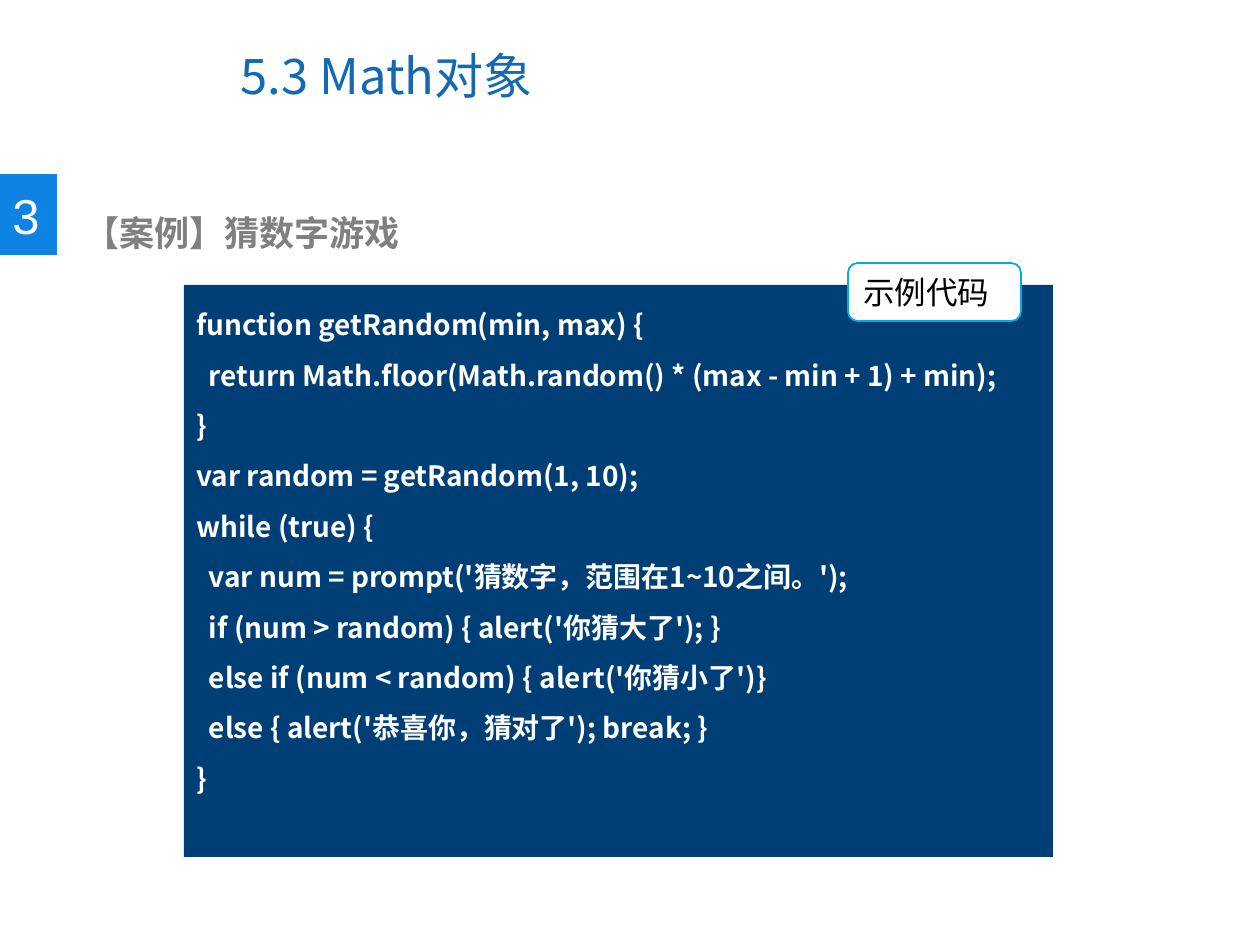
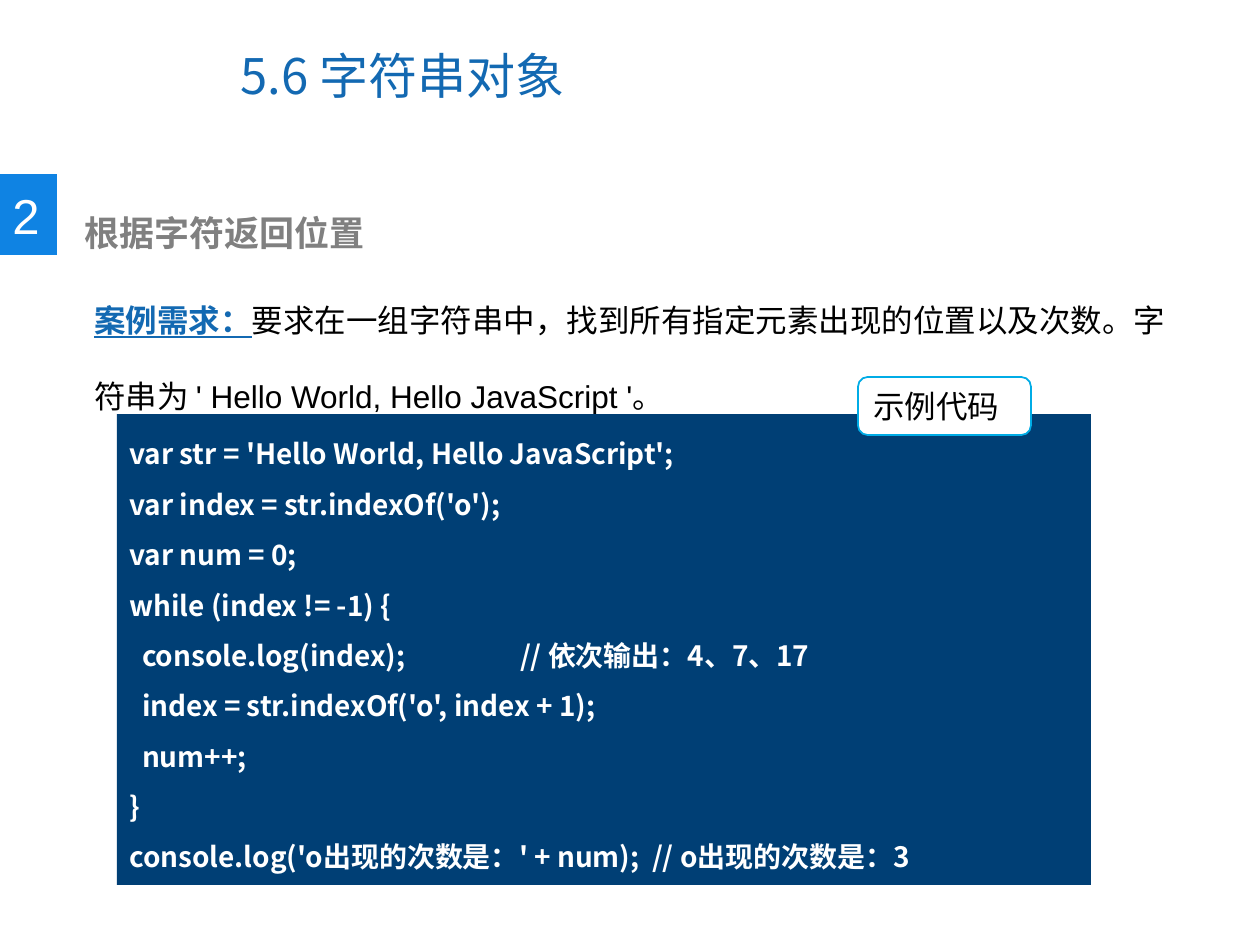
import pptx
import pptx.util
import pptx.dml.color
import pptx.enum.shapes
import pptx.enum.text
import pptx.oxml.ns
import lxml.etree

SLIDES = [
    {
        "title": "5.3 Math对象",
        "num": "3",
        "head": "【案例】猜数字游戏",
        "need": None,
        "code": [
            "function getRandom(min, max) {",
            "  return Math.floor(Math.random() * (max - min + 1) + min);",
            "}",
            "var random = getRandom(1, 10);",
            "while (true) {",
            "  var num = prompt('猜数字，范围在1~10之间。');",
            "  if (num > random) { alert('你猜大了'); }",
            "  else if (num < random) { alert('你猜小了')}",
            "  else { alert('恭喜你，猜对了'); break; }",
            "}",
        ],
        "panel": (184, 285, 869, 572),
        "tag": (848, 263),
    },
    {
        "title": "5.6 字符串对象",
        "num": "2",
        "head": "根据字符返回位置",
        "need": (
            "案例需求：",
            "要求在一组字符串中，找到所有指定元素出现的位置以及次数。"
            "字符串为 ' Hello World, Hello JavaScript '。",
        ),
        "code": [
            "var str = 'Hello World, Hello JavaScript';",
            "var index = str.indexOf('o');",
            "var num = 0;",
            "while (index != -1) {",
            "  console.log(index);\t\t  // 依次输出：4、7、17",
            "  index = str.indexOf('o', index + 1);",
            "  num++;",
            "}",
            "console.log('o出现的次数是：' + num);  // o出现的次数是：3",
        ],
        "panel": (117, 414, 974, 471),
        "tag": (858, 377),
    },
]

TAG = "示例代码"
TAG_SIZE = (173, 58)
TITLE_BOX = (228, 21, 650, 107)
NUM_BOX = (0, 174, 57, 81)
HEAD_BOX = (72, 205, 635, 55)
NEED_BOX = (82, 257, 1111, 165)

SANS, CJK = "Arial", "Noto Sans CJK SC"
BLUE, SKY, NAVY, CYAN = "1369B2", "0F83E3", "003F75", "00ACE6"
WHITE, GRAY, BLACK = "FFFFFF", "808080", "000000"
PX = 914400 // 126
RECT = pptx.enum.shapes.MSO_SHAPE.RECTANGLE
ROUND = pptx.enum.shapes.MSO_SHAPE.ROUNDED_RECTANGLE
TOP = pptx.enum.text.MSO_ANCHOR.TOP
MID = pptx.enum.text.MSO_ANCHOR.MIDDLE


def emu(box):
    return [n * PX for n in box]


def hue(code):
    return pptx.dml.color.RGBColor.from_string(code)


def style(run, size, color, face=SANS, bold=False, under=False):
    font = run.font
    font.size = pptx.util.Pt(size)
    font.name = face
    font.bold = bold
    font.underline = under
    font.color.rgb = hue(color)
    east = lxml.etree.SubElement(run._r.get_or_add_rPr(), pptx.oxml.ns.qn("a:ea"))
    east.set("typeface", CJK)


def write(shape, lines, look, anchor=TOP, space=None):
    frame = shape.text_frame
    frame.word_wrap = True
    frame.auto_size = pptx.enum.text.MSO_AUTO_SIZE.NONE
    frame.vertical_anchor = anchor
    frame.text = "\n".join(lines)
    for par in frame.paragraphs:
        par.alignment = pptx.enum.text.PP_ALIGN.LEFT
        par.line_spacing = space
        for run in par.runs:
            style(run, **look)


def block(slide, kind, box, fill, line=None):
    shape = slide.shapes.add_shape(kind, *emu(box))
    shape.shadow.inherit = False
    shape.fill.solid()
    shape.fill.fore_color.rgb = hue(fill)
    if line:
        shape.line.color.rgb = hue(line)
        shape.line.width = pptx.util.Pt(1)
    else:
        shape.line.fill.background()
    return shape


def add_need(slide, label, text):
    box = slide.shapes.add_textbox(*emu(NEED_BOX))
    write(box, [label], dict(size=18, color=BLUE, bold=True, under=True), space=2.0)
    run = box.text_frame.paragraphs[0].add_run()
    run.text = text
    style(run, 18, BLACK)


def build(deck, data):
    slide = deck.slides.add_slide(deck.slide_layouts.get_by_name("Title Only"))
    title = slide.shapes.title
    title.left, title.top, title.width, title.height = emu(TITLE_BOX)
    write(title, [data["title"]], dict(size=28, color=BLUE, face=CJK), MID)

    num = block(slide, RECT, NUM_BOX, SKY)
    write(num, [data["num"]], dict(size=28, color=WHITE), MID)

    head = slide.shapes.add_textbox(*emu(HEAD_BOX))
    write(head, [data["head"]], dict(size=20, color=GRAY, bold=True))

    if data["need"]:
        add_need(slide, *data["need"])

    panel = block(slide, RECT, data["panel"], NAVY)
    write(panel, data["code"], dict(size=16, color=WHITE, face=CJK, bold=True), space=1.5)

    tag = block(slide, ROUND, data["tag"] + TAG_SIZE, WHITE, CYAN)
    write(tag, [TAG], dict(size=18, color=BLACK), MID)


def main():
    deck = pptx.Presentation()
    deck.slide_width = pptx.util.Inches(10)
    deck.slide_height = pptx.util.Inches(7.5)
    for data in SLIDES:
        build(deck, data)
    deck.save("out.pptx")


if __name__ == "__main__":
    main()
